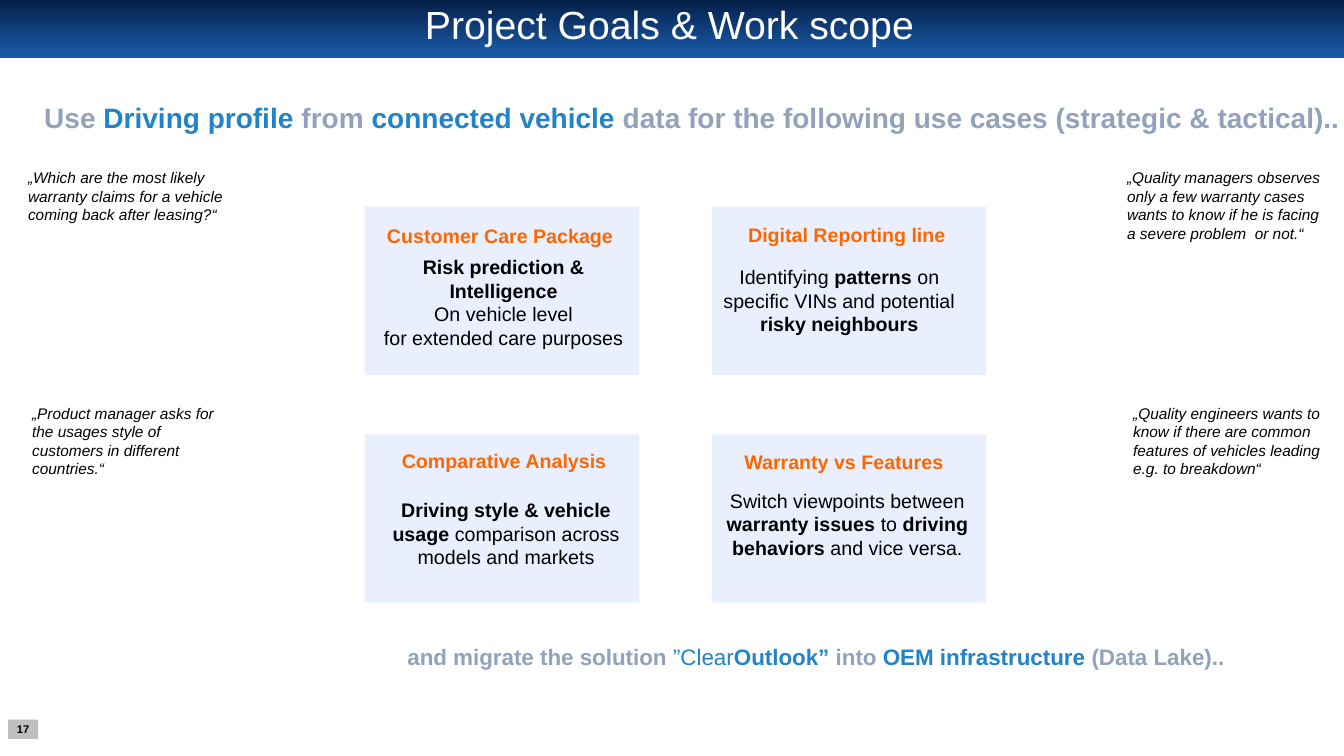
from pptx import Presentation
from pptx.dml.color import RGBColor
from pptx.enum.shapes import MSO_SHAPE
from pptx.enum.text import MSO_ANCHOR, PP_ALIGN
from pptx.util import Pt

PX = 9144  # EMU per px, 100 px to the inch
FONT = "Arial"
BLACK, WHITE, ORANGE = "000000", "FFFFFF", "FE6700"
GREY, BLUE, PALE = "92A2BD", "2183C8", "E9EFFF"
LEFT, MID = PP_ALIGN.LEFT, PP_ALIGN.CENTER


def color(code):
    return RGBColor.from_string(code)


def emu(box):
    return [n * PX for n in box]


def write(frame, paras, size, align=LEFT, pad=(10, 5), lead=None,
          anchor=MSO_ANCHOR.TOP, slant=False):
    """Each paragraph is a list of (text, colour, bold) runs."""
    frame.word_wrap = True
    frame.vertical_anchor = anchor
    frame.margin_left = frame.margin_right = pad[0] * PX
    frame.margin_top = frame.margin_bottom = pad[1] * PX
    for i, runs in enumerate(paras):
        para = frame.add_paragraph() if i else frame.paragraphs[0]
        para.alignment = align
        if lead:
            para.line_spacing = Pt(lead)
        for text, code, bold in runs:
            run = para.add_run()
            run.text = text
            font = run.font
            font.name, font.size = FONT, Pt(size)
            font.bold, font.italic = bold, slant
            font.color.rgb = color(code)


def label(slide, box, paras, size, **look):
    write(slide.shapes.add_textbox(*emu(box)).text_frame, paras, size, **look)


def block(slide, box, fill=None):
    shape = slide.shapes.add_shape(MSO_SHAPE.RECTANGLE, *emu(box))
    shape.shadow.inherit = False
    shape.line.fill.background()
    if fill:
        shape.fill.solid()
        shape.fill.fore_color.rgb = color(fill)
    return shape


def banner(slide, box, title):
    x, y, w, h = box
    fill = block(slide, box).fill
    fill.gradient()
    fill.gradient_angle = 270
    for stop, code, pos in zip(fill.gradient_stops, ("052049", "1957A3"), (0, 0.9)):
        stop.color.rgb = color(code)
        stop.position = pos
    label(slide, (x + 66, y + 6, w - 137, 45), [[(title, WHITE, False)]], 28,
          align=MID, lead=27, anchor=MSO_ANCHOR.MIDDLE)


def strap(slide, box, runs, size, align=LEFT):
    label(slide, box, [runs], size, align=align, pad=(0, 0), lead=27)


def card(slide, box, title, head, body, paras, quote, note):
    """head, body and note are boxes measured from the card's corner."""
    x, y, w, h = box

    def near(part):
        return x + part[0], y + part[1], part[2], part[3]

    block(slide, box, PALE)
    label(slide, near(head), [[(title, ORANGE, True)]], 14, align=MID)
    black = [[(text, BLACK, bold) for text, bold in runs] for runs in paras]
    label(slide, near(body), black, 14, align=MID)
    label(slide, near(note), [[(quote, BLACK, False)]], 11, slant=True)


def number(slide, box, text):
    write(block(slide, box, "BFBFBF").text_frame, [[(text, BLACK, True)]], 8,
          align=MID, pad=(0, 0), anchor=MSO_ANCHOR.MIDDLE)


# Title, head, body, paragraphs, quote, note; row by row
CARDS = [
    ("Customer Care Package", (-2, 12, 272, 34), (1, 43, 273, 104),
     [[("Risk prediction & Intelligence", True)],
      [("On vehicle level", False)],
      [("for extended care purposes", False)]],
     "„Which are the most likely warranty claims for a vehicle coming back "
     "after leasing?“", (-344, -43, 214, 66)),
    ("Digital Reporting line", (-2, 11, 272, 34), (-5, 53, 263, 104),
     [[("Identifying ", False), ("patterns", True),
       (" on specific VINs and potential", False), (" risky neighbours", True)]],
     "„Quality managers observes only a few warranty cases wants to know if "
     "he is facing a severe problem  or not.“", (402, -43, 214, 84)),
    ("Comparative Analysis", (2, 9, 272, 34), (14, 58, 252, 81),
     [[("Driving style & vehicle usage ", True),
       ("comparison across models and markets", False)]],
     "„Product manager asks for the usages style of customers in different "
     "countries.“", (-340, -35, 206, 84)),
    ("Warranty vs Features", (-5, 10, 272, 34), (-2, 49, 273, 104),
     [[("Switch viewpoints between ", False), ("warranty issues", True),
       (" to ", False), ("driving behaviors ", True),
       ("and vice versa.", False)]],
     "„Quality engineers wants to know if there are common features of "
     "vehicles leading e.g. to breakdown“", (408, -35, 211, 84)),
]


def main():
    deck = Presentation()
    deck.slide_width, deck.slide_height = 1333 * PX, 750 * PX
    slide = deck.slides.add_slide(deck.slide_layouts[6])

    # Title bar
    banner(slide, (0, 0, 1333, 58), "Project Goals & Work scope")

    # Opening line
    strap(slide, (40, 96, 1293, 47), [
        ("Use ", GREY, True), ("Driving profile ", BLUE, True),
        ("from ", GREY, True), ("connected vehicle ", BLUE, True),
        ("data for the following use cases (strategic & tactical)..", GREY, True),
    ], 20, MID)

    # Two by two grid of use cases
    for i, parts in enumerate(CARDS):
        row, col = divmod(i, 2)
        card(slide, (362 + 344 * col, 205 + 226 * row, 272, 167), *parts)

    # Closing line
    strap(slide, (404, 627, 929, 43), [
        ("and migrate the solution ", GREY, True), ("”Clear", BLUE, False),
        ("Outlook”", BLUE, True), (" into ", GREY, True),
        ("OEM infrastructure ", BLUE, True), ("(Data Lake)..", GREY, True),
    ], 16)

    # Page number
    number(slide, (8, 714, 30, 19), "17")
    deck.save("out.pptx")


if __name__ == "__main__":
    main()
